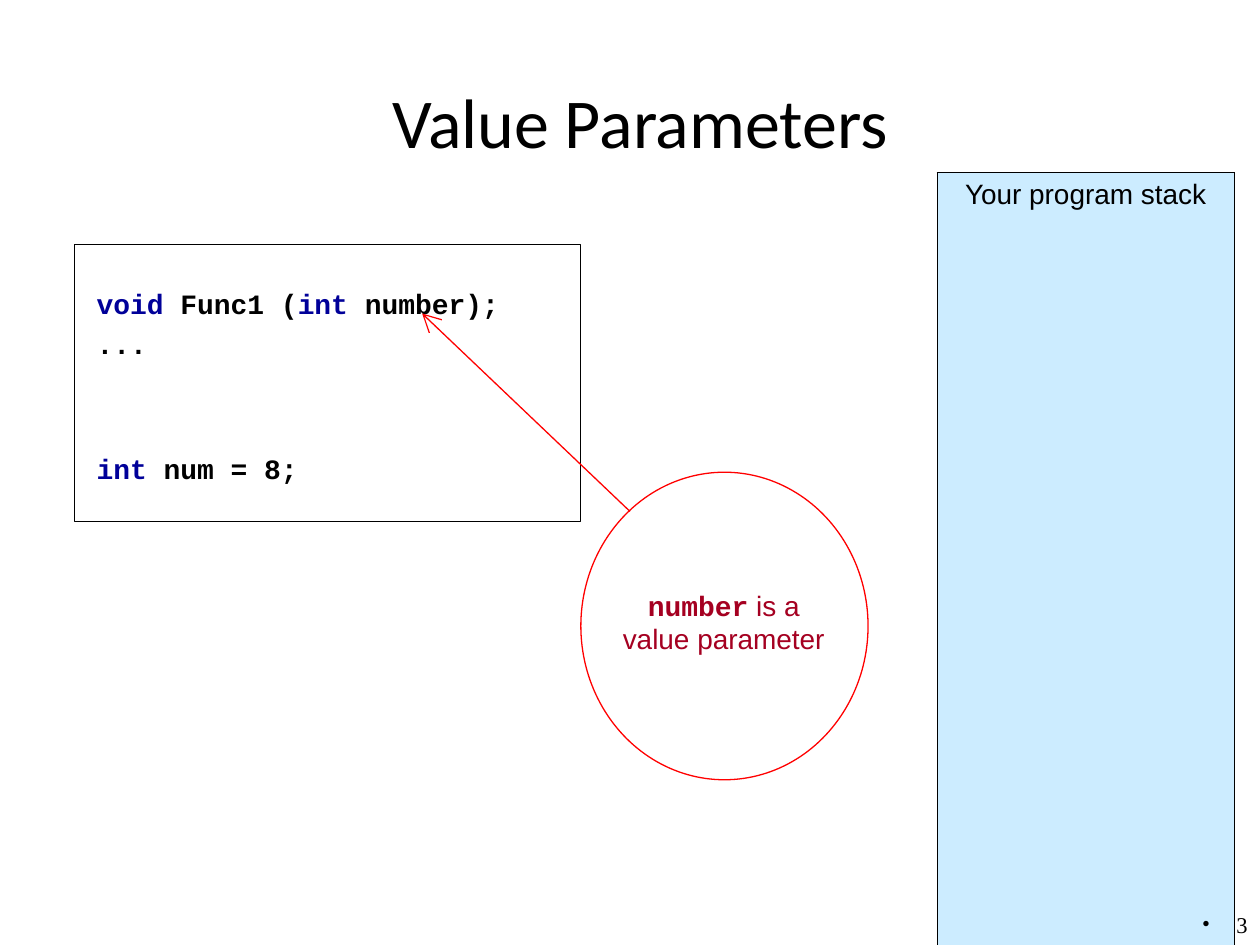
"""Build the Value Parameters slide with a code box, a callout and a program stack."""
import pptx
import pptx.dml.color
import pptx.enum.shapes
import pptx.enum.text
import pptx.oxml
import pptx.oxml.ns
import pptx.util
import lxml.etree

Cm = pptx.util.Cm
Pt = pptx.util.Pt
RGBColor = pptx.dml.color.RGBColor
ALIGN = pptx.enum.text.PP_ALIGN
SHAPE = pptx.enum.shapes.MSO_SHAPE
qn = pptx.oxml.ns.qn

BLACK = RGBColor(0x00, 0x00, 0x00)
NAVY = RGBColor(0x00, 0x00, 0x99)
CRIMSON = RGBColor(0xA5, 0x00, 0x21)
RED = RGBColor(0xFF, 0x00, 0x00)
PALE_BLUE = RGBColor(0xCC, 0xEC, 0xFF)
NO_GRID_STYLE = "{2D5ABB26-0587-4C30-8999-92F81FD0307C}"


def add_frame(left, top, width, height):
    frame = slide.shapes.add_textbox(Cm(left), Cm(top), Cm(width), Cm(height)).text_frame
    frame.word_wrap = True
    return frame


def add_run(paragraph, text, font, size, color, bold=False):
    run = paragraph.add_run()
    run.text = text
    run.font.name = font
    run.font.size = Pt(size)
    run.font.color.rgb = color
    run.font.bold = bold


deck = pptx.Presentation()
deck.slide_width, deck.slide_height = Cm(25.4), Cm(19.05)
slide = deck.slides.add_slide(deck.slide_layouts[6])

title = add_frame(2.11, 1.52, 21.59, 1.8)
title.vertical_anchor = pptx.enum.text.MSO_ANCHOR.MIDDLE
title.paragraphs[0].alignment = ALIGN.CENTER
add_run(title.paragraphs[0], "Value Parameters", "Calibri", 40, BLACK)

code = add_frame(1.7, 5.51, 11.99, 12.4)
code.margin_top = Cm(0.26)
code_lines = [
    (0, [("void ", NAVY), ("Func1 (", BLACK), ("int", NAVY), (" number);", BLACK)]),
    (4, [("...", BLACK)]),
    (52, [("int", NAVY), (" num = 8;", BLACK)]),
]
for index, (gap, pieces) in enumerate(code_lines):
    line = code.add_paragraph() if index else code.paragraphs[0]
    line.space_before = Pt(gap)
    for text, color in pieces:
        add_run(line, text, "Courier New", 16, color, True)

column_widths = [2.18, 2.41, 5.99]
row_count, row_height = 11, 1.45
stack = slide.shapes.add_table(
    row_count, len(column_widths), Cm(14.3), Cm(3.48),
    Cm(sum(column_widths)), Cm(row_count * row_height)).table
stack.first_row = stack.horz_banding = False
stack._tbl.tblPr.find(qn("a:tableStyleId")).text = NO_GRID_STYLE
for column, width in zip(stack.columns, column_widths):
    column.width = Cm(width)
for row_index, row in enumerate(stack.rows):
    row.height = Cm(row_height)
    for column_index, cell in enumerate(row.cells):
        in_stack = column_index == 2
        drawn = {
            "lnL": in_stack,
            "lnR": column_index > 0,
            "lnT": in_stack and row_index == 0,
            "lnB": False,
        }
        properties = cell._tc.get_or_add_tcPr()
        for side, visible in drawn.items():
            border = lxml.etree.SubElement(properties, qn("a:" + side), w=str(Pt(0.45)))
            if visible:
                solid = lxml.etree.SubElement(border, qn("a:solidFill"))
                lxml.etree.SubElement(solid, qn("a:srgbClr"), val=str(BLACK))
            else:
                lxml.etree.SubElement(border, qn("a:noFill"))
        if in_stack:
            cell.fill.solid()
            cell.fill.fore_color.rgb = PALE_BLUE
        else:
            cell.fill.background()
heading = stack.cell(0, 2).text_frame.paragraphs[0]
heading.alignment = ALIGN.CENTER
add_run(heading, "Your program stack", "Arial", 16, BLACK)

page_number = add_frame(23.77, 18.34, 1.63, 0.71).paragraphs[0]
page_number.alignment = ALIGN.RIGHT
page_number.line_spacing = 0.8
add_run(page_number, "3", "Times New Roman", 12.9, BLACK)
hanging = Cm(0.69)
bullet = page_number._p.get_or_add_pPr()
bullet.set("marL", str(hanging))
bullet.set("indent", str(-hanging))
lxml.etree.SubElement(bullet, qn("a:buFont"), typeface="Times New Roman")
lxml.etree.SubElement(bullet, qn("a:buChar"), char="\u2022")

callout = add_frame(12.09, 11.73, 5, 1.63).paragraphs[0]
callout.alignment = ALIGN.CENTER
add_run(callout, "number", "Courier New", 16, CRIMSON, True)
add_run(callout, " is a value parameter", "Arial", 16, CRIMSON)

outlines = [
    (SHAPE.OVAL, 11.71, 9.52, 5.79, 6.2, RED),
    (SHAPE.RECTANGLE, 1.5, 4.93, 10.21, 5.59, BLACK),
]
for kind, left, top, width, height, color in outlines:
    outline = slide.shapes.add_shape(kind, Cm(left), Cm(top), Cm(width), Cm(height))
    outline.shadow.inherit = False
    outline.fill.background()
    outline.line.color.rgb = color
    outline.line.width = Pt(0.74)

pointer = slide.shapes.add_connector(
    pptx.enum.shapes.MSO_CONNECTOR.STRAIGHT, Cm(12.7), Cm(10.31), Cm(8.51), Cm(6.32))
pointer.line.color.rgb = RED
pointer.line.width = Pt(0.74)
lxml.etree.SubElement(
    pointer.line._get_or_add_ln(), qn("a:tailEnd"), type="arrow", w="lg", len="lg")
lxml.etree.SubElement(pointer._element.spPr, qn("a:effectLst"))

deck.save("out.pptx")
